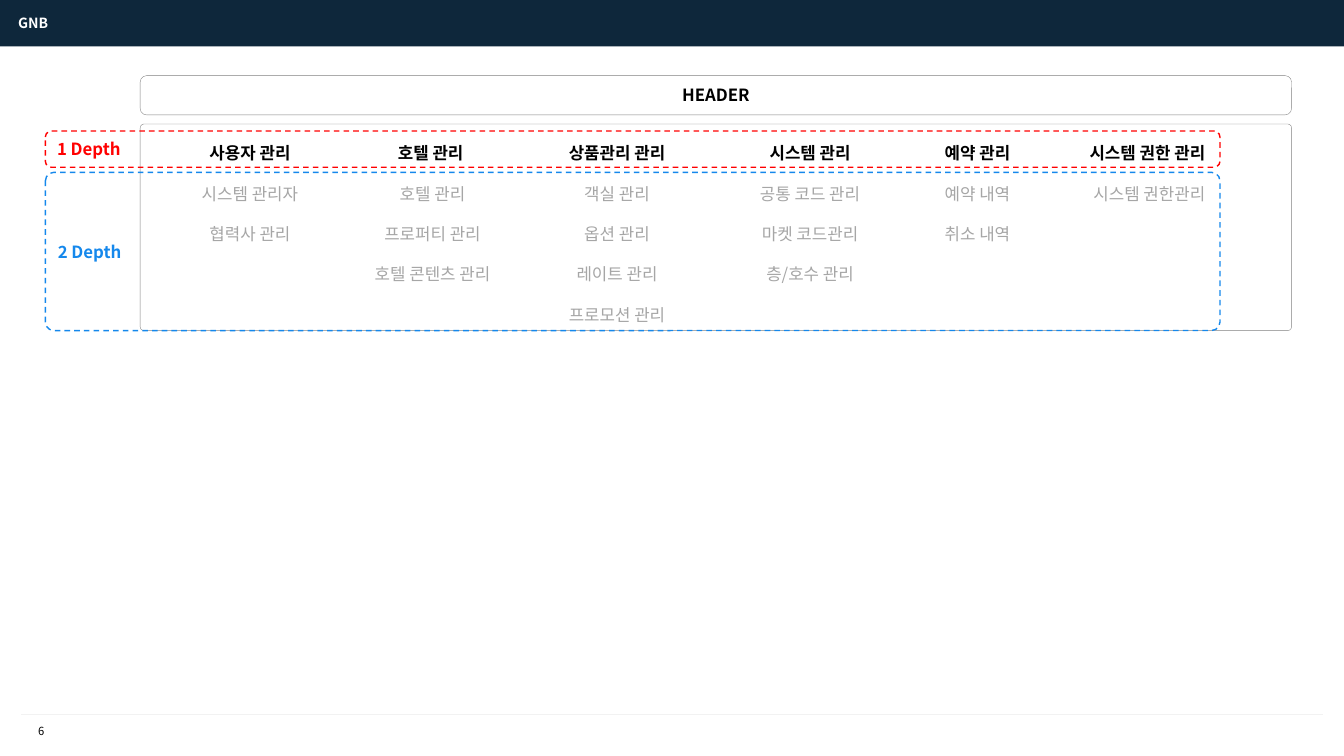
from lxml import etree
from pptx import Presentation
from pptx.dml.color import RGBColor
from pptx.enum.dml import MSO_LINE
from pptx.enum.shapes import MSO_CONNECTOR, MSO_SHAPE
from pptx.enum.text import MSO_ANCHOR, MSO_AUTO_SIZE, PP_ALIGN
from pptx.oxml.ns import qn
from pptx.util import Inches, Pt

FONT = "Noto Sans CJK KR"
BLACK, WHITE, NAVY = "000000", "FFFFFF", "0E273B"
GRAY, OUTLINE, RULE = "A6A6A6", "808080", "F2F2F2"
RED, BLUE = "FF0000", "1588EC"
LEFT, CENTER = PP_ALIGN.LEFT, PP_ALIGN.CENTER
TOP, MIDDLE = MSO_ANCHOR.TOP, MSO_ANCHOR.MIDDLE
RECTANGLE, ROUNDED = MSO_SHAPE.RECTANGLE, MSO_SHAPE.ROUNDED_RECTANGLE
STRAIGHT, DASH = MSO_CONNECTOR.STRAIGHT, MSO_LINE.DASH
NO_FIT, GROW = MSO_AUTO_SIZE.NONE, MSO_AUTO_SIZE.SHAPE_TO_FIT_TEXT

MENU_TOP = 1.17
MENUS = [
    (1.75, 1.46, ["사용자 관리", "시스템 관리자", "협력사 관리"]),
    (3.5, 1.58, ["호텔 관리 ", "호텔 관리", "프로퍼티 관리", "호텔 콘텐츠 관리"]),
    (5.33, 1.58, ["상품관리 관리", "객실 관리", "옵션 관리", "레이트 관리", "프로모션 관리"]),
    (7.25, 1.57, ["시스템 관리", "공통 코드 관리", "마켓 코드관리", "층/호수 관리"]),
    (9.13, 1.13, ["예약 관리", "예약 내역", "취소 내역"]),
    (10.63, 1.54, ["시스템 권한 관리 ", "시스템 권한관리"]),
]


def rgb(value):
    """Turn a hex string into a colour."""
    return RGBColor.from_string(value)


def style_paragraph(paragraph, size, color, bold=False, align=LEFT):
    """Format a paragraph with the deck font for Latin and Korean text."""
    paragraph.alignment = align
    font = paragraph.font
    font.name, font.size, font.bold = FONT, Pt(size), bold
    font.color.rgb = rgb(color)
    properties = paragraph._p.pPr.find(qn("a:defRPr"))
    etree.SubElement(properties, qn("a:ea"), typeface=FONT)


def add_title(slide, text):
    """Place the title placeholder in the top bar."""
    title = slide.shapes.title
    title.left, title.top = Inches(0.08), Inches(0.09)
    title.width, title.height = Inches(1.13), Inches(0.27)
    frame = title.text_frame
    frame.text = text
    frame.vertical_anchor = TOP
    frame.auto_size = NO_FIT
    style_paragraph(frame.paragraphs[0], 10, WHITE, bold=True)


def add_bar(slide, width):
    """Put the dark bar behind the title."""
    bar = slide.shapes.add_shape(RECTANGLE, 0, 0, width, Inches(0.46))
    bar.shadow.inherit = False
    bar.fill.solid()
    bar.fill.fore_color.rgb = rgb(NAVY)
    bar.line.fill.background()
    slide.shapes._spTree.insert(2, bar._element)


def add_footer(slide, number):
    """Draw the footer rule and the page number."""
    rule = slide.shapes.add_connector(
        STRAIGHT, Inches(0.21), Inches(7.09), Inches(13.12), Inches(7.09))
    rule.line.color.rgb = rgb(RULE)
    rule.line.width = Pt(0.75)
    etree.SubElement(rule._element.spPr, qn("a:effectLst"))
    box = slide.shapes.add_textbox(
        Inches(0.17), Inches(7.14), Inches(0.48), Inches(0.24))
    frame = box.text_frame
    frame.text = number
    frame.word_wrap = False
    frame.auto_size = GROW
    style_paragraph(frame.paragraphs[0], 8, BLACK, align=CENTER)


def add_frame(slide, left, top, width, height, color, line_width=0.25,
              dash=None, corner=None, text="", text_color=BLACK, align=LEFT):
    """Draw an unfilled rounded frame with an optional bold label."""
    shape = slide.shapes.add_shape(
        ROUNDED, Inches(left), Inches(top), Inches(width), Inches(height))
    shape.shadow.inherit = False
    shape.fill.background()
    shape.line.color.rgb = rgb(color)
    shape.line.width = Pt(line_width)
    if dash:
        shape.line.dash_style = dash
    if corner:
        shape.adjustments[0] = corner
    if text:
        frame = shape.text_frame
        frame.text = text
        frame.vertical_anchor = MIDDLE
        style_paragraph(frame.paragraphs[0], 12, text_color, True, align)


def add_menu(slide, left, width, items):
    """Write one menu column: a bold heading above its gray entries."""
    height = 0.04 + 0.405 * len(items)
    box = slide.shapes.add_textbox(
        Inches(left), Inches(MENU_TOP), Inches(width), Inches(height))
    frame = box.text_frame
    frame.word_wrap = True
    frame.auto_size = GROW
    frame.text = "\n".join(items)
    for index, paragraph in enumerate(frame.paragraphs):
        heading = index == 0
        paragraph.line_spacing = 2.0
        style_paragraph(paragraph, 12, BLACK if heading else GRAY, heading, CENTER)


def main():
    """Build the navigation menu slide."""
    presentation = Presentation()
    presentation.slide_width = Inches(13.33)
    presentation.slide_height = Inches(7.5)
    slide = presentation.slides.add_slide(presentation.slide_layouts[5])
    add_bar(slide, presentation.slide_width)
    add_title(slide, "GNB")
    add_footer(slide, "6")
    add_frame(slide, 1.39, 0.75, 11.42, 0.39, OUTLINE, text="HEADER", align=CENTER)
    add_frame(slide, 1.39, 1.23, 11.42, 2.05, OUTLINE, corner=0.019)
    for left, width, items in MENUS:
        add_menu(slide, left, width, items)
    add_frame(slide, 0.45, 1.3, 11.65, 0.36, RED, 1, DASH,
              text="1 Depth", text_color=RED)
    add_frame(slide, 0.45, 1.71, 11.65, 1.57, BLUE, 1, DASH, 0.054,
              text="2 Depth", text_color=BLUE)
    presentation.save("out.pptx")


if __name__ == "__main__":
    main()
